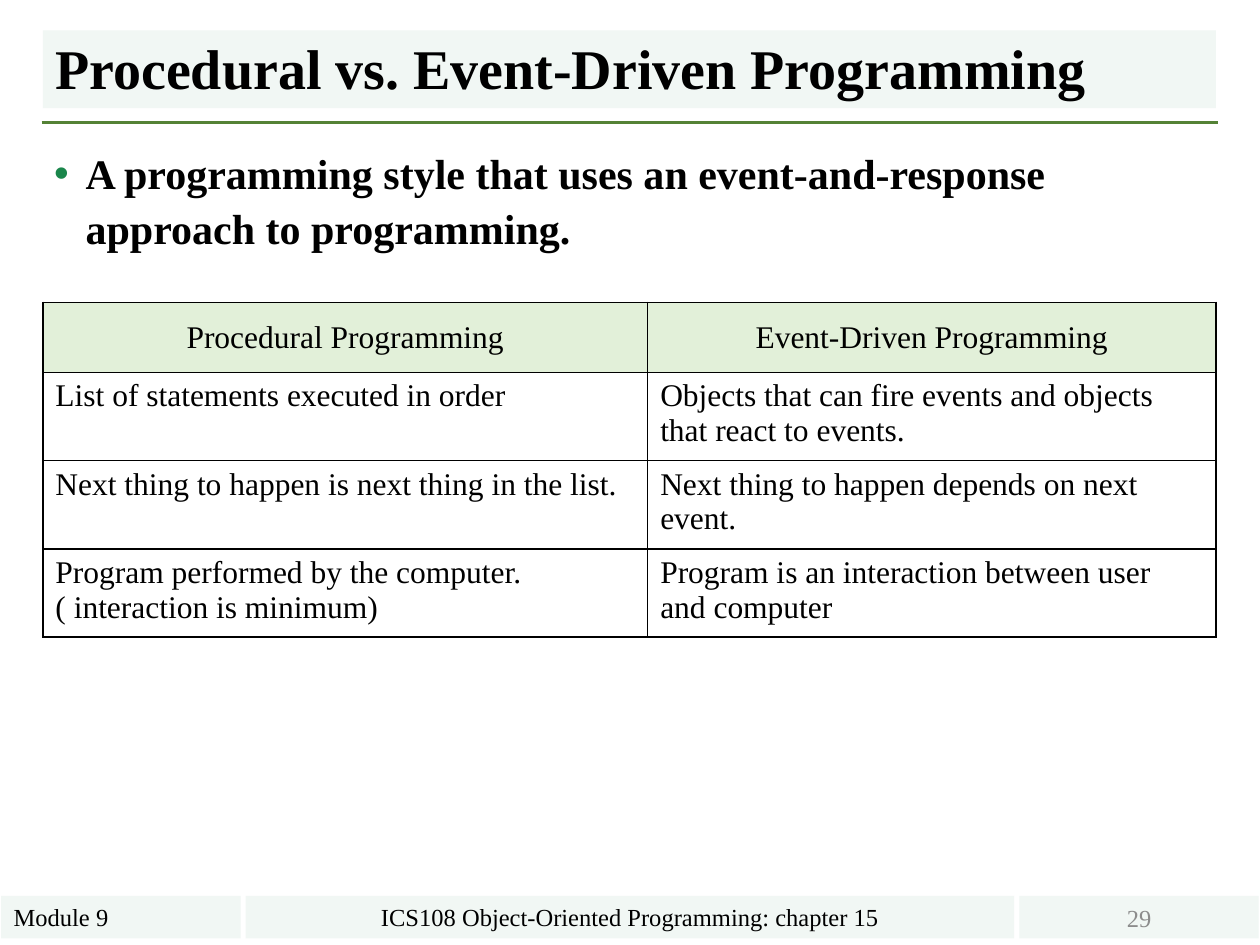
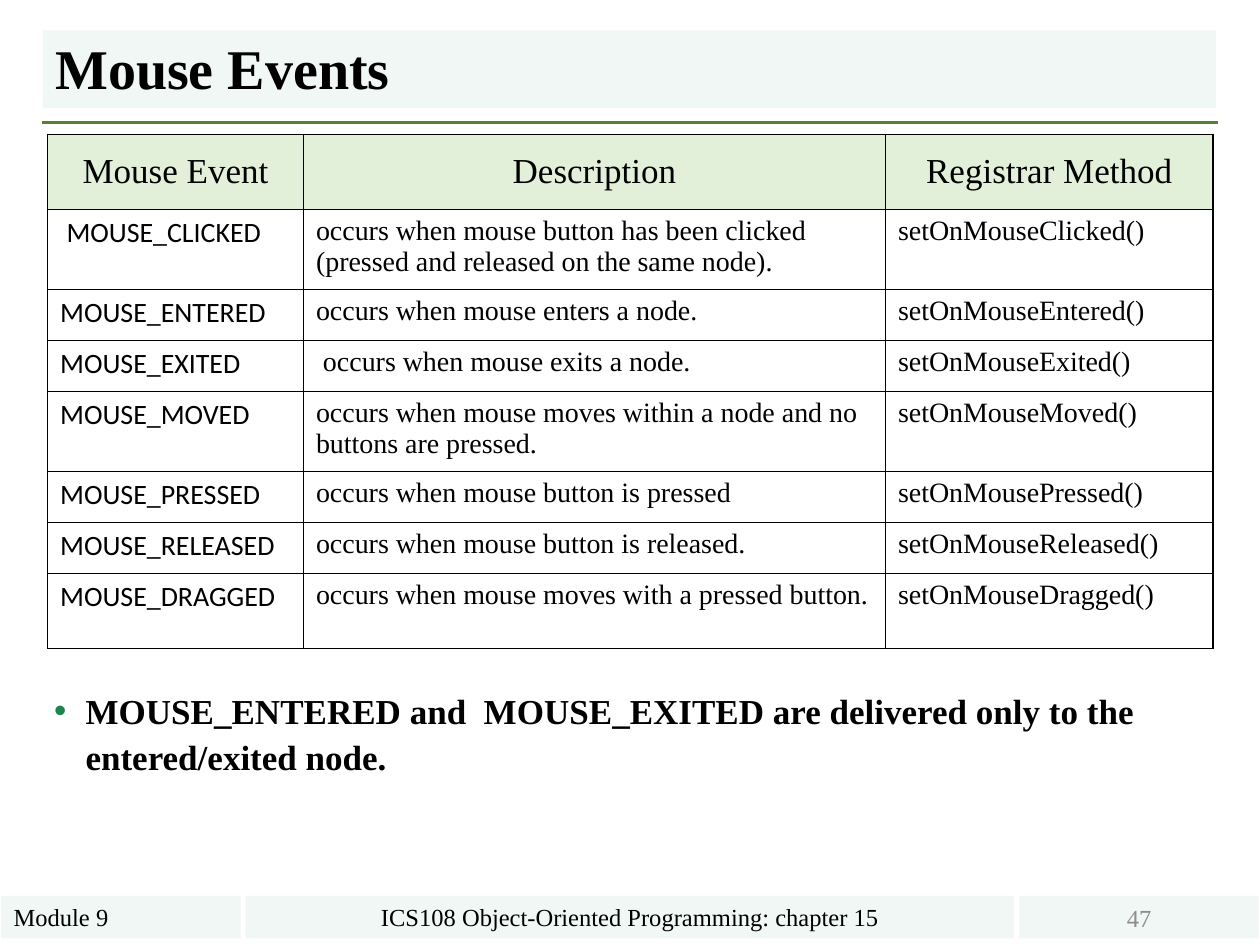
from lxml.etree import SubElement
from pptx import Presentation
from pptx.dml.color import RGBColor
from pptx.enum.shapes import MSO_CONNECTOR, MSO_SHAPE
from pptx.enum.text import MSO_ANCHOR, PP_ALIGN
from pptx.oxml.ns import qn
from pptx.util import Pt

SERIF, SANS = "Times New Roman", "Calibri"
BLACK, GREY = "000000", "8C8C8C"
BAND, RULE, HEADER, BULLET = "F1F7F4", "548235", "E2F0D9", "1A864B"

MODULE = "Module 9"
COURSE = "ICS108 Object-Oriented Programming: chapter 15"
ONE_LINE, TWO_LINES = 29.2, 42.8

SLIDES = [
    {
        "title": "Procedural vs. Event-Driven Programming",
        "number": "29",
        "bullet": "A programming style that uses an event-and-response approach to programming.",
        "bullet_place": (23.8, 77.8, 672.4, 430.6),
        "bullet_size": 24,
        "table": {
            "corner": (24.5, 172.8),
            "columns": [345.6, 324.8],
            "heights": [40, 47.2, 47.2, 47.2],
            "header_size": 18,
            "body_size": 18,
            "fonts": [SERIF, SERIF],
            "rows": [
                ("Procedural Programming", "Event-Driven Programming"),
                ("List of statements executed in order",
                 "Objects that can fire events and objects that react to events."),
                ("Next thing to happen is next thing in the list.",
                 "Next thing to happen depends on next event."),
                ("Program performed by the computer. ( interaction is minimum)",
                 "Program is an interaction between user and computer"),
            ],
        },
    },
    {
        "title": "Mouse Events",
        "number": "47",
        "bullet": "MOUSE_ENTERED and  MOUSE_EXITED are delivered only to the entered/exited node.",
        "bullet_place": (23.8, 388.1, 672.4, 59.8),
        "bullet_size": 20,
        "table": {
            "corner": (27.2, 76.8),
            "columns": [146.2, 332.6, 187.2],
            "heights": [43, TWO_LINES, ONE_LINE, ONE_LINE, TWO_LINES,
                        ONE_LINE, ONE_LINE, TWO_LINES],
            "header_size": 20,
            "body_size": 16,
            "fonts": [SANS, SERIF, SERIF],
            "rows": [
                ("Mouse Event", "Description", "Registrar Method"),
                (" MOUSE_CLICKED",
                 "occurs when mouse button has been clicked (pressed and released on the same node).",
                 "setOnMouseClicked()"),
                ("MOUSE_ENTERED", "occurs when mouse enters a node.", "setOnMouseEntered()"),
                ("MOUSE_EXITED", " occurs when mouse exits a node.", "setOnMouseExited()"),
                ("MOUSE_MOVED",
                 "occurs when mouse moves within a node and no buttons are pressed.",
                 "setOnMouseMoved()"),
                ("MOUSE_PRESSED", "occurs when mouse button is pressed", "setOnMousePressed()"),
                ("MOUSE_RELEASED", "occurs when mouse button is released.",
                 "setOnMouseReleased()"),
                ("MOUSE_DRAGGED", "occurs when mouse moves with a pressed button.",
                 "setOnMouseDragged()"),
            ],
        },
    },
]


def color(code):
    return RGBColor.from_string(code)


def write(frame, text, size, font=SERIF, tint=BLACK, bold=False, align=PP_ALIGN.LEFT,
          anchor=MSO_ANCHOR.TOP, spacing=None, bullet=None):
    """Put one formatted paragraph in a text frame or a table cell's frame."""
    frame.word_wrap = True
    frame.vertical_anchor = anchor
    para = frame.paragraphs[0]
    para.alignment = align
    if spacing:
        para.line_spacing = spacing
    if bullet:
        properties = para._p.get_or_add_pPr()
        properties.set("marL", str(Pt(18)))
        properties.set("indent", str(-Pt(18)))
        tone = SubElement(properties, qn("a:buClr"))
        SubElement(tone, qn("a:srgbClr"), val=bullet)
        SubElement(properties, qn("a:buFont"), typeface="Arial")
        SubElement(properties, qn("a:buChar"), char="•")
    span = para.add_run()
    span.text = text
    span.font.name = font
    span.font.size = Pt(size)
    span.font.bold = bold
    span.font.color.rgb = color(tint)


def add_band(page, place, text, size, **style):
    band = page.shapes.add_shape(MSO_SHAPE.RECTANGLE, *map(Pt, place))
    band.shadow.inherit = False
    band.fill.solid()
    band.fill.fore_color.rgb = color(BAND)
    band.line.fill.background()
    write(band.text_frame, text, size, **style)


def add_frame(page, title, number):
    """Add the title band, the rule below it and the three footer bands."""
    rule = page.shapes.add_connector(MSO_CONNECTOR.STRAIGHT, *map(Pt, (23.8, 70, 696.2, 70)))
    rule.line.color.rgb = color(RULE)
    rule.line.width = Pt(1.5)
    SubElement(rule._element.spPr, qn("a:effectLst"))
    add_band(page, (24.5, 17.3, 670.4, 44.6), title, 32, bold=True,
             anchor=MSO_ANCHOR.BOTTOM, spacing=0.9)
    footers = [
        (0.7, 136.8, MODULE, {}),
        (140.4, 439.2, COURSE, {"align": PP_ALIGN.CENTER}),
        (582.5, 136.8, number,
         {"align": PP_ALIGN.CENTER, "anchor": MSO_ANCHOR.MIDDLE, "tint": GREY}),
    ]
    for left, width, text, style in footers:
        add_band(page, (left, 512, width, 24.3), text, 14, **style)


def add_borders(cell):
    properties = cell._tc.get_or_add_tcPr()
    for side in ("lnL", "lnR", "lnT", "lnB"):
        border = SubElement(properties, qn(f"a:{side}"), w=str(Pt(1)))
        fill = SubElement(border, qn("a:solidFill"))
        SubElement(fill, qn("a:srgbClr"), val=BLACK)


def add_grid(page, corner, columns, heights, header_size, body_size, fonts, rows):
    place = (*corner, sum(columns), sum(heights))
    table = page.shapes.add_table(len(rows), len(columns), *map(Pt, place)).table
    table.first_row = table.horz_banding = False
    for column, width in zip(table.columns, columns):
        column.width = Pt(width)
    for index, (row, height, texts) in enumerate(zip(table.rows, heights, rows)):
        row.height = Pt(height)
        for cell, text, font in zip(row.cells, texts, fonts):
            add_borders(cell)
            if index == 0:
                cell.fill.solid()
                cell.fill.fore_color.rgb = color(HEADER)
                write(cell.text_frame, text, header_size, align=PP_ALIGN.CENTER)
                cell.vertical_anchor = MSO_ANCHOR.MIDDLE
            else:
                cell.fill.background()
                write(cell.text_frame, text, body_size, font=font)


def main():
    deck = Presentation()
    deck.slide_width, deck.slide_height = Pt(720), Pt(540)
    for content in SLIDES:
        page = deck.slides.add_slide(deck.slide_layouts[6])
        add_frame(page, content["title"], content["number"])
        box = page.shapes.add_textbox(*map(Pt, content["bullet_place"]))
        write(box.text_frame, content["bullet"], content["bullet_size"], bold=True,
              spacing=1.1, bullet=BULLET)
        add_grid(page, **content["table"])
    deck.save("out.pptx")


if __name__ == "__main__":
    main()
